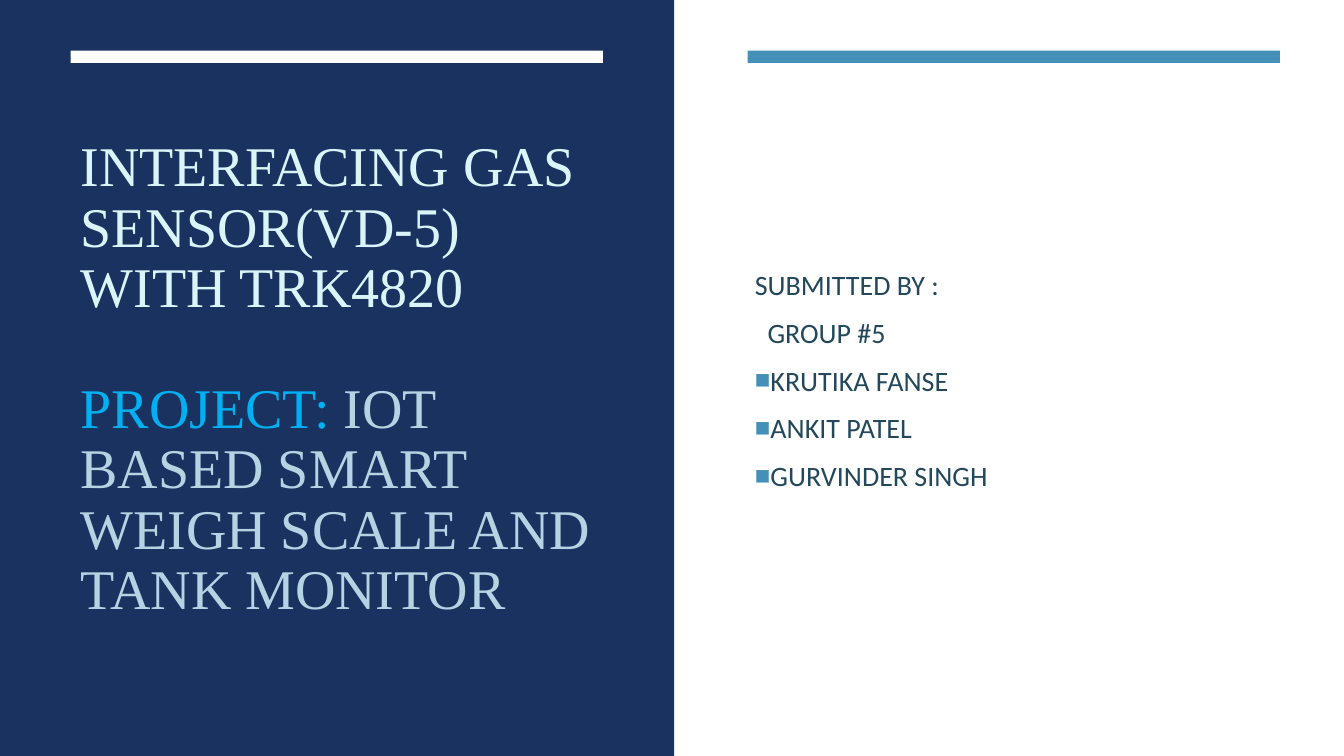
from dataclasses import dataclass

from lxml.etree import SubElement
from pptx import Presentation
from pptx.dml.color import RGBColor
from pptx.enum.shapes import MSO_SHAPE
from pptx.enum.text import MSO_ANCHOR, MSO_AUTO_SIZE, PP_ALIGN
from pptx.oxml.ns import qn
from pptx.slide import Slide
from pptx.util import Pt


@dataclass(frozen=True)
class Theme:
    white: str = "FFFFFF"
    navy: str = "1A3260"
    blue: str = "4590B8"
    ice: str = "DAF5FA"
    cyan: str = "00B0F0"
    mist: str = "B4D3E3"
    slate: str = "23485C"
    title_font: str = "Times New Roman"
    body_font: str = "Calibri"
    title_size: float = 40
    body_size: float = 20


@dataclass(frozen=True)
class Frame:
    left: float
    top: float
    width: float
    height: float


@dataclass(frozen=True)
class Block:
    frame: Frame
    color: str


@dataclass(frozen=True)
class Span:
    text: str
    color: str


@dataclass(frozen=True)
class Line:
    text: str
    indent: float = 0
    bulleted: bool = False


THEME = Theme()
SLIDE_WIDTH, SLIDE_HEIGHT = 960, 540
BAR_TOP, BAR_WIDTH, BAR_HEIGHT = 36.2, 380.2, 8.8
TITLE_LEFT, BODY_LEFT = 50.4, 532
TEXT_TOP, TEXT_HEIGHT = 81.4, 380

BLOCKS = [
    Block(Frame(0, 0, SLIDE_WIDTH, SLIDE_HEIGHT), THEME.white),
    Block(Frame(0, 0, 481.5, SLIDE_HEIGHT), THEME.navy),
    Block(Frame(TITLE_LEFT, BAR_TOP, BAR_WIDTH, BAR_HEIGHT), THEME.white),
    Block(Frame(534, BAR_TOP, BAR_WIDTH, BAR_HEIGHT), THEME.blue),
]
TITLE = [
    [Span("INTERFACING GAS SENSOR(VD-5) WITH TRK4820", THEME.ice)],
    [
        Span("PROJECT: ", THEME.cyan),
        Span("IOT BASED SMART WEIGH SCALE AND TANK MONITOR", THEME.mist),
    ],
]
BODY = [
    Line("SUBMITTED BY :"),
    Line("GROUP #5", indent=9),
    Line("KRUTIKA FANSE", bulleted=True),
    Line("ANKIT PATEL", bulleted=True),
    Line("GURVINDER SINGH", bulleted=True),
]


def place(shape, frame: Frame) -> None:
    shape.left, shape.top = Pt(frame.left), Pt(frame.top)
    shape.width, shape.height = Pt(frame.width), Pt(frame.height)


def draw_blocks(page: Slide, blocks: list[Block]) -> None:
    """Draw the filled rectangles behind the placeholders, in order."""
    for depth, block in enumerate(blocks, start=2):
        shape = page.shapes.add_shape(MSO_SHAPE.RECTANGLE, 0, 0, 0, 0)
        place(shape, block.frame)
        shape.shadow.inherit = False
        shape.fill.solid()
        shape.fill.fore_color.rgb = RGBColor.from_string(block.color)
        shape.line.fill.background()
        shape.element.getparent().insert(depth, shape.element)


def prepare_text(box, frame: Frame):
    place(box, frame)
    text = box.text_frame
    text.word_wrap = True
    text.auto_size = MSO_AUTO_SIZE.NONE
    text.vertical_anchor = MSO_ANCHOR.MIDDLE
    return text


def add_span(para, span: Span, font: str, size: float) -> None:
    run = para.add_run()
    run.text = span.text
    run.font.name = font
    run.font.size = Pt(size)
    run.font.color.rgb = RGBColor.from_string(span.color)


def set_indent(para, line: Line) -> None:
    """Set the left margin and, where wanted, a square bullet."""
    properties = para._p.get_or_add_pPr()
    properties.set("marL", str(Pt(line.indent)))
    properties.set("indent", "0")
    if line.bulleted:
        color = SubElement(properties, qn("a:buClr"))
        SubElement(color, qn("a:srgbClr"), val=THEME.blue)
        SubElement(properties, qn("a:buSzPct"), val="92000")
        SubElement(properties, qn("a:buChar"), char="■")
    else:
        SubElement(properties, qn("a:buNone"))


def fill_title(box) -> None:
    text = prepare_text(box, Frame(TITLE_LEFT, TEXT_TOP, BAR_WIDTH, TEXT_HEIGHT))
    for index, spans in enumerate(TITLE):
        para = text.add_paragraph() if index else text.paragraphs[0]
        para.alignment = PP_ALIGN.LEFT
        para.line_spacing = 0.9
        para.space_before = Pt(43 if index else 0)
        for span in spans:
            add_span(para, span, THEME.title_font, THEME.title_size)


def fill_body(box) -> None:
    text = prepare_text(box, Frame(BODY_LEFT, TEXT_TOP, 382, TEXT_HEIGHT))
    for index, line in enumerate(BODY):
        para = text.add_paragraph() if index else text.paragraphs[0]
        para.alignment = PP_ALIGN.LEFT
        para.space_before = Pt(4)
        para.space_after = Pt(6)
        set_indent(para, line)
        add_span(para, Span(line.text, THEME.slate), THEME.body_font, THEME.body_size)


def main() -> None:
    deck = Presentation()
    deck.slide_width, deck.slide_height = Pt(SLIDE_WIDTH), Pt(SLIDE_HEIGHT)
    page = deck.slides.add_slide(deck.slide_layouts[0])
    draw_blocks(page, BLOCKS)
    fill_title(page.shapes.title)
    fill_body(page.placeholders[1])
    deck.save("out.pptx")


if __name__ == "__main__":
    main()
